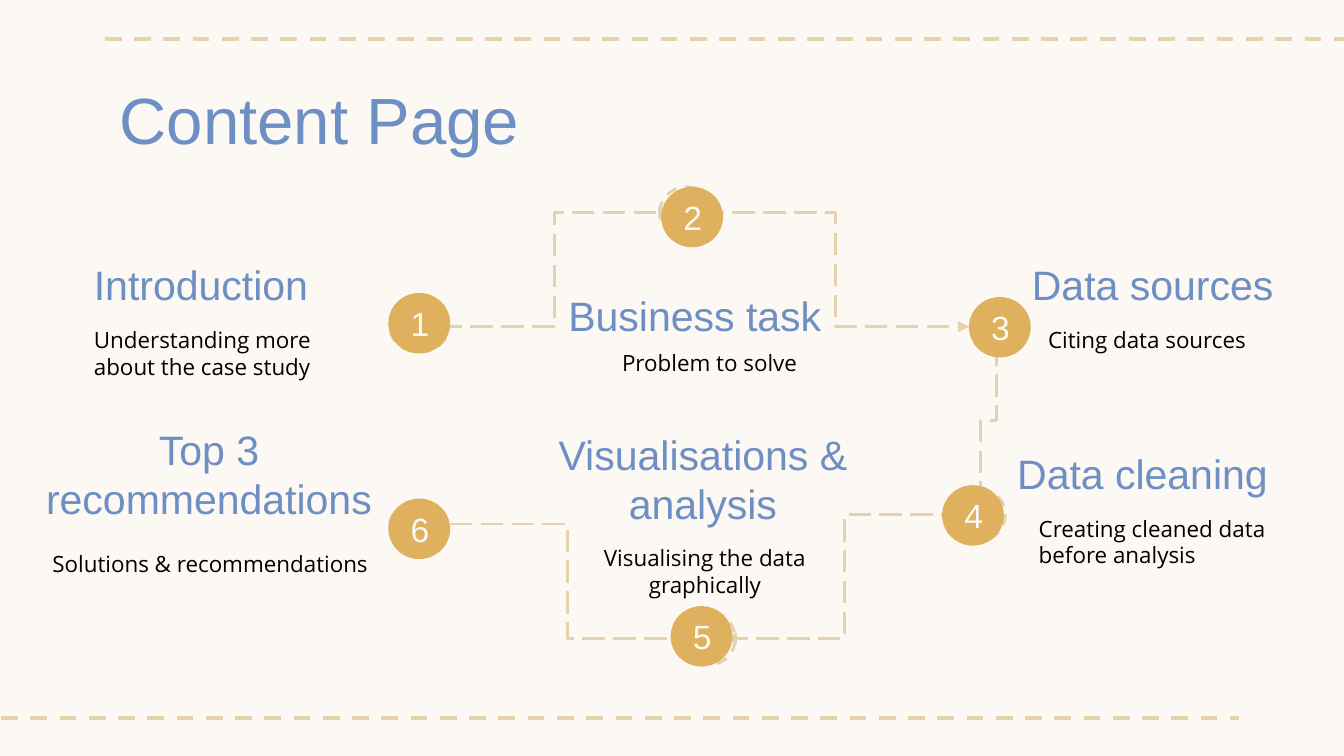
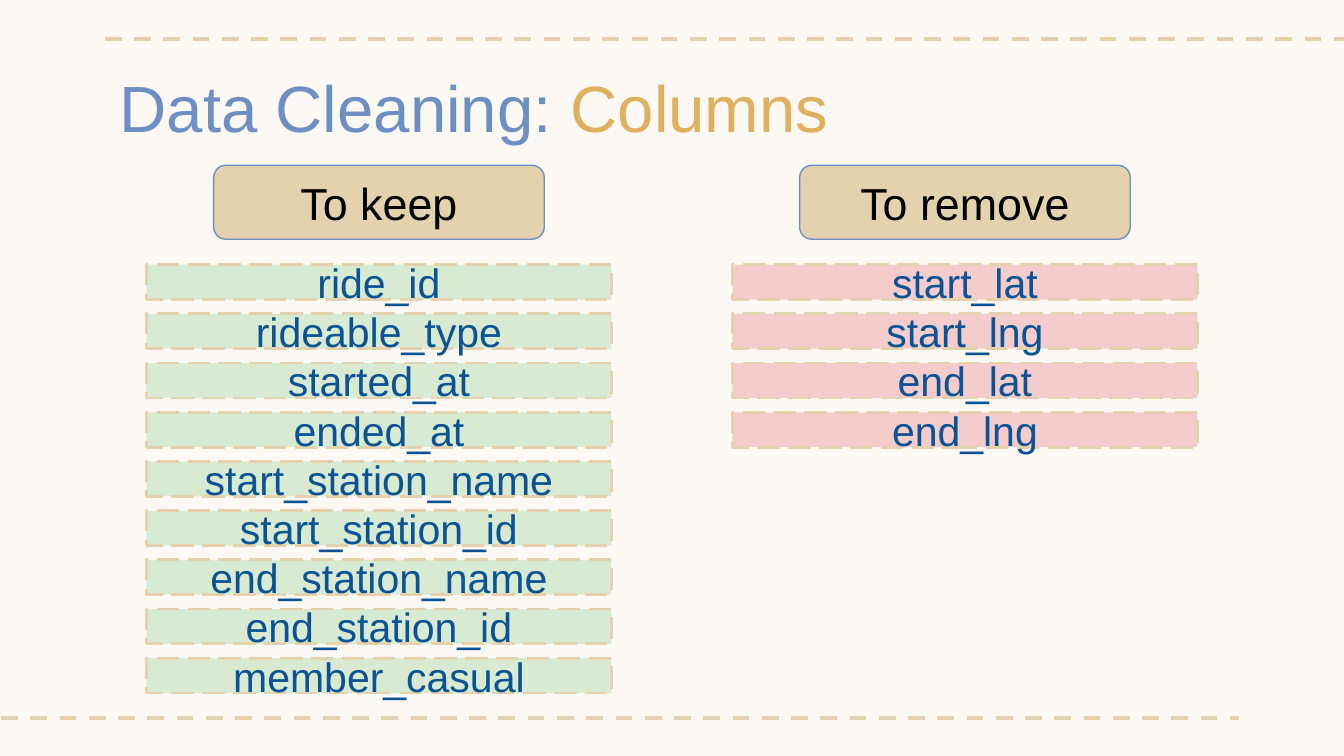
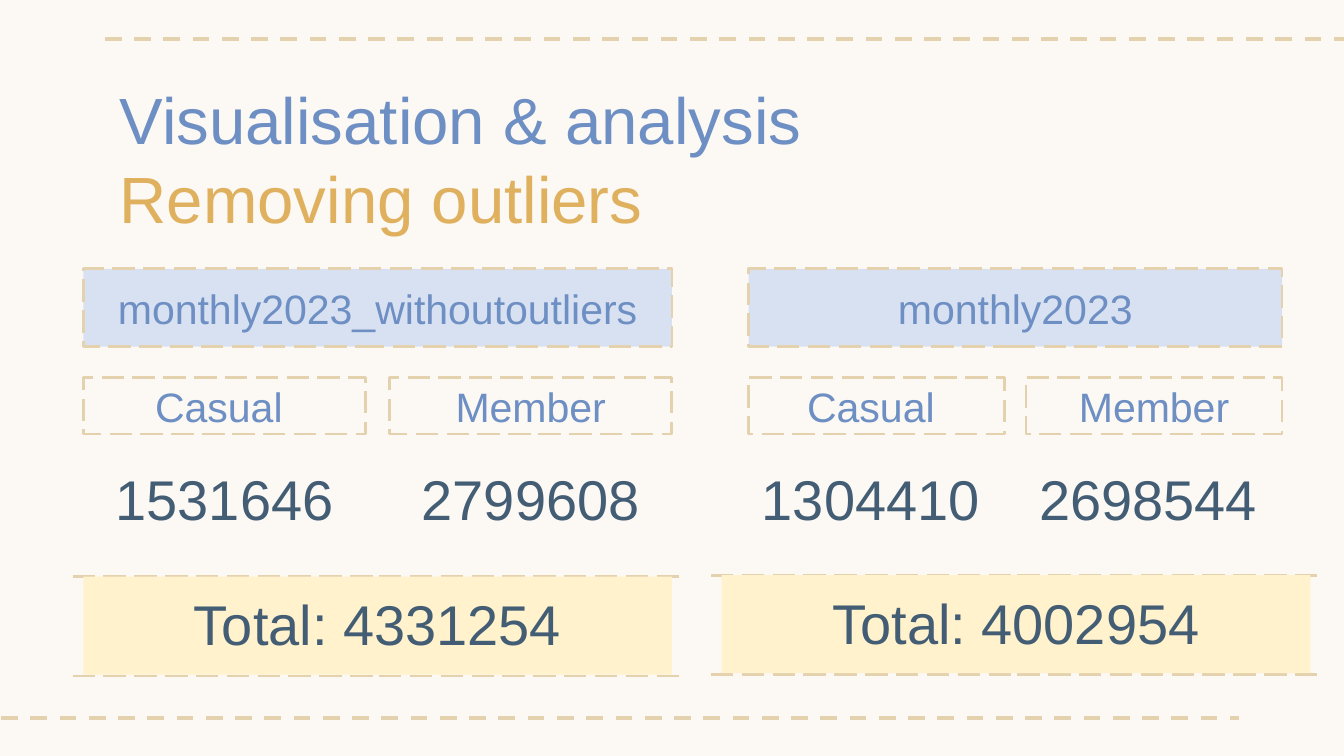
from dataclasses import dataclass, replace
from typing import Any, NamedTuple, Optional

from lxml import etree
from pptx import Presentation
from pptx import util as u
from pptx.dml.color import RGBColor
from pptx.enum import dml, shapes, text
from pptx.oxml.ns import qn

WIDTH, HEIGHT = u.Inches(10), u.Inches(5.625)
COLS = 100
CELL = WIDTH / COLS

CREAM = RGBColor(0xFC, 0xF8, 0xF4)
SAND = RGBColor(0xE4, 0xD1, 0xAD)
GOLD = RGBColor(0xDF, 0xB0, 0x5E)
BLUE = RGBColor(0x6E, 0x8F, 0xC3)
PALE = RGBColor(0xD8, 0xE1, 0xF1)
NAVY = RGBColor(0x0B, 0x53, 0x94)
SLATE = RGBColor(0x43, 0x5D, 0x74)
GREEN = RGBColor(0xD9, 0xEA, 0xD3)
PINK = RGBColor(0xF4, 0xCC, 0xCC)
LEMON = RGBColor(0xFF, 0xF2, 0xCC)
BLACK = RGBColor(0, 0, 0)

LEFT, MID = text.PP_ALIGN.LEFT, text.PP_ALIGN.CENTER
TOP, CORE, BASE = (text.MSO_ANCHOR.TOP, text.MSO_ANCHOR.MIDDLE,
                   text.MSO_ANCHOR.BOTTOM)
DASH, LONG = dml.MSO_LINE.DASH, dml.MSO_LINE.LONG_DASH
RECT, ROUND, OVAL = (shapes.MSO_SHAPE.RECTANGLE,
                     shapes.MSO_SHAPE.ROUNDED_RECTANGLE,
                     shapes.MSO_SHAPE.OVAL)


class Spot(NamedTuple):
    col: float
    row: float


class Box(NamedTuple):
    col: float
    row: float
    wide: float
    tall: float


@dataclass(frozen=True)
class Style:
    size: float
    color: RGBColor
    face: str = "Arial"
    align: Any = MID
    anchor: Any = CORE
    after: float = 0


@dataclass(frozen=True)
class Edge:
    color: RGBColor = SAND
    width: float = 1.5
    dash: Any = LONG


TITLE = Style(35, BLUE, align=LEFT, anchor=TOP)
HEAD = Style(22, BLUE, anchor=BASE)
NOTE = Style(12, BLACK, "Open Sans", anchor=TOP)
BADGE = Style(18, CREAM)
LABEL = Style(22, BLUE)
FIELD = Style(22, NAVY)
CAP = Style(24, BLACK, after=10)
COUNT = Style(30, SLATE, anchor=TOP)


def cells(*counts: float) -> list[int]:
    return [round(count * CELL) for count in counts]


def paint(run: Any, style: Style) -> None:
    run.font.name = style.face
    run.font.size = u.Pt(style.size)
    run.font.color.rgb = style.color


def write(frame: Any, words: str, style: Style) -> None:
    frame.text = words
    frame.word_wrap = True
    frame.auto_size = text.MSO_AUTO_SIZE.NONE
    frame.vertical_anchor = style.anchor
    for side in ("left", "right", "top", "bottom"):
        setattr(frame, f"margin_{side}", cells(1)[0])
    for para in frame.paragraphs:
        para.alignment = style.align
        if style.after:
            para.space_after = u.Pt(style.after)
        for run in para.runs:
            paint(run, style)


def trace(line: Any, edge: Edge) -> None:
    line.color.rgb = edge.color
    line.width = u.Pt(edge.width)
    if edge.dash:
        line.dash_style = edge.dash


def add_form(slide: Any, kind: Any, box: Box, fill: Optional[RGBColor] = None,
             edge: Optional[Edge] = None, words: str = "",
             style: Style = LABEL) -> None:
    form = slide.shapes.add_shape(kind, *cells(*box))
    form.shadow.inherit = False
    if fill is None:
        form.fill.background()
    else:
        form.fill.solid()
        form.fill.fore_color.rgb = fill
    if edge:
        trace(form.line, edge)
    else:
        form.line.fill.background()
    if words:
        write(form.text_frame, words, style)


def add_text(slide: Any, box: Box, words: str, style: Style) -> None:
    write(slide.shapes.add_textbox(*cells(*box)).text_frame, words, style)


def add_link(slide: Any, start: Spot, end: Spot, edge: Edge = Edge(),
             bent: bool = False, turn: int = 0) -> Any:
    kind = shapes.MSO_CONNECTOR.ELBOW if bent else shapes.MSO_CONNECTOR.STRAIGHT
    link = slide.shapes.add_connector(kind, *cells(*start, *end))
    trace(link.line, edge)
    props = link.element.spPr
    if bent:
        tail = etree.SubElement(props.find(qn("a:ln")), qn("a:tailEnd"))
        tail.set("type", "triangle")
    if turn:
        props.find(qn("a:xfrm")).set("rot", str(turn * 60000))
    etree.SubElement(props, qn("a:effectLst"))
    return link


def add_page(deck: Any, box: Box, words: str) -> Any:
    slide = deck.slides.add_slide(deck.slide_layouts.get_by_name("Title Only"))
    title = slide.shapes.title
    title.left, title.top, title.width, title.height = cells(*box)
    write(title.text_frame, words, TITLE)
    return slide


def dress(deck: Any, slide: Any) -> None:
    base = deck.slide_master
    base.background.fill.solid()
    base.background.fill.fore_color.rgb = CREAM
    for index, (col, row) in enumerate([(7.8, 2.9), (-2.1, 53.4)]):
        band = add_link(slide, Spot(col, row), Spot(col + 94.3, row),
                        Edge(width=2.25, dash=DASH))
        band.element.nvCxnSpPr.cNvPr.id = 20 + index
        base.shapes.element.append(band.element)


@dataclass(frozen=True)
class Step:
    head: str
    note: str
    ring: Box
    head_box: Box
    note_box: Box
    badge: Spot
    align: Any = MID


STEPS = [
    Step("Introduction", "Understanding more about the case study",
         Box(29, 22.4, 4.4, 3.8), Box(6, 19.4, 23.1, 4.6),
         Box(6, 23.3, 23.1, 6), Spot(28.9, 21.8), LEFT),
    Step("Business task ", "Problem to solve",
         Box(49.1, 13.9, 4, 3.8), Box(41.3, 17.7, 20.8, 8.6),
         Box(43.4, 25, 18.8, 6), Spot(49.2, 13.9)),
    Step("Data sources", "Citing data sources",
         Box(72.4, 22.4, 3.5, 3.8), Box(75.8, 19.4, 20.4, 4.6),
         Box(77, 23.3, 18.4, 6), Spot(72.1, 22.1), LEFT),
    Step("Data cleaning", "Creating cleaned data before analysis",
         Box(71.1, 36.4, 3.7, 3.8), Box(74.7, 33.4, 21.5, 4.6),
         Box(76.3, 37.3, 19.8, 6), Spot(70.1, 36.1), LEFT),
    Step("Visualisations & analysis", "Visualising the data graphically",
         Box(51.3, 45.6, 3.4, 3.8), Box(40.4, 35.7, 23.8, 4.6),
         Box(42.2, 39.5, 20.5, 6), Spot(49.9, 45.1)),
    Step("Top 3\nrecommendations", "Solutions & recommendations",
         Box(29, 37.4, 4.3, 3.3), Box(1.6, 34.7, 27.9, 5.2),
         Box(2.4, 39.9, 26.5, 5.2), Spot(28.9, 37.1)),
]

ROUTES = [
    (Spot(32.7, 24.3), Spot(49.8, 15.8), 0),
    (Spot(52.2, 15.8), Spot(72.1, 24.3), 0),
    (Spot(67.8, 30.7), Spot(79.3, 31.9), 90),
    (Spot(71.7, 38.3), Spot(54, 47.5), 0),
    (Spot(51.9, 47.5), Spot(32.6, 39), 0),
]


def draw_steps(deck: Any) -> None:
    slide = add_page(deck, Box(7.9, 4.9, 84.3, 6.3), "Content Page")
    dress(deck, slide)
    for step in STEPS:
        col, row, wide, tall = step.ring
        add_form(slide, OVAL, step.ring, edge=Edge(dash=DASH))
        add_form(slide, OVAL, Box(col + wide / 6, row + tall / 6,
                                  wide * 2 / 3, tall * 2 / 3), GOLD)
        add_text(slide, step.head_box, step.head,
                 replace(HEAD, align=step.align))
        add_text(slide, step.note_box, step.note,
                 replace(NOTE, align=step.align))
    for start, end, turn in ROUTES:
        add_link(slide, start, end, bent=True, turn=turn)
    for index, step in enumerate(STEPS, 1):
        add_form(slide, OVAL, Box(*step.badge, 4.6, 4.5), GOLD,
                 words=str(index), style=BADGE)


class Group(NamedTuple):
    name: str
    col: float
    fill: RGBColor
    fields: list[str]


GROUPS = [
    Group("To keep", 10.9, GREEN,
          ["ride_id", "rideable_type", "started_at", "ended_at",
           "start_station_name", "start_station_id", "end_station_name",
           "end_station_id", "member_casual"]),
    Group("To remove", 54.5, PINK,
          ["start_lat", "start_lng", "end_lat", "end_lng"]),
]


def draw_fields(deck: Any) -> None:
    slide = add_page(deck, Box(7.9, 4, 84.3, 6.3), "Data Cleaning: ")
    run = slide.shapes.title.text_frame.paragraphs[0].add_run()
    run.text = "Columns"
    paint(run, replace(TITLE, color=GOLD))
    for group in GROUPS:
        for index, field in enumerate(group.fields):
            add_form(slide, RECT,
                     Box(group.col, 19.7 + index * 3.66, 34.6, 2.6),
                     group.fill, Edge(), field, FIELD)
        add_form(slide, ROUND, Box(group.col + 5, 12.3, 24.6, 5.5), SAND,
                 Edge(BLUE, 0.75, None), group.name, CAP)


class Table(NamedTuple):
    name: str
    col: float
    wide: float
    counts: list[str]
    align: Any
    total: str
    spot: Spot


TABLES = [
    Table("monthly2023_withoutoutliers", 6.2, 43.8, ["1531646", "2799608"],
          MID, "Total: 4331254", Spot(6.2, 42.9)),
    Table("monthly2023", 55.7, 39.7, ["1304410", "2698544"],
          LEFT, "Total: 4002954", Spot(53.7, 42.8)),
]


def draw_counts(deck: Any) -> None:
    slide = add_page(deck, Box(7.9, 4.9, 84.3, 14.1),
                     "Visualisation & analysis\nRemoving outliers")
    last = slide.shapes.title.text_frame.paragraphs[1]
    paint(last.runs[0], replace(TITLE, color=GOLD))
    for table in TABLES:
        add_form(slide, RECT, Box(table.col, 20, table.wide, 5.8), PALE,
                 Edge(), table.name)
        part = table.wide * 0.48
        for index, kind in enumerate(["Casual ", "Member"]):
            col = table.col + index * (table.wide - part)
            add_form(slide, RECT, Box(col, 28.1, part, 4.2), None, Edge(), kind)
            add_text(slide, Box(col, 33.6, part, 8.7), table.counts[index],
                     replace(COUNT, align=table.align))
        col, row = table.spot
        for rule in (row, row + 7.4):
            for start in (col - 0.8, col + 22):
                add_link(slide, Spot(start, rule), Spot(start + 22.6, rule))
        add_form(slide, RECT, Box(col, row, 43.8, 7.3), LEMON,
                 words=table.total, style=COUNT)


def main() -> None:
    deck = Presentation()
    deck.slide_width, deck.slide_height = WIDTH, HEIGHT
    draw_steps(deck)
    draw_fields(deck)
    draw_counts(deck)
    deck.save("out.pptx")


if __name__ == "__main__":
    main()
